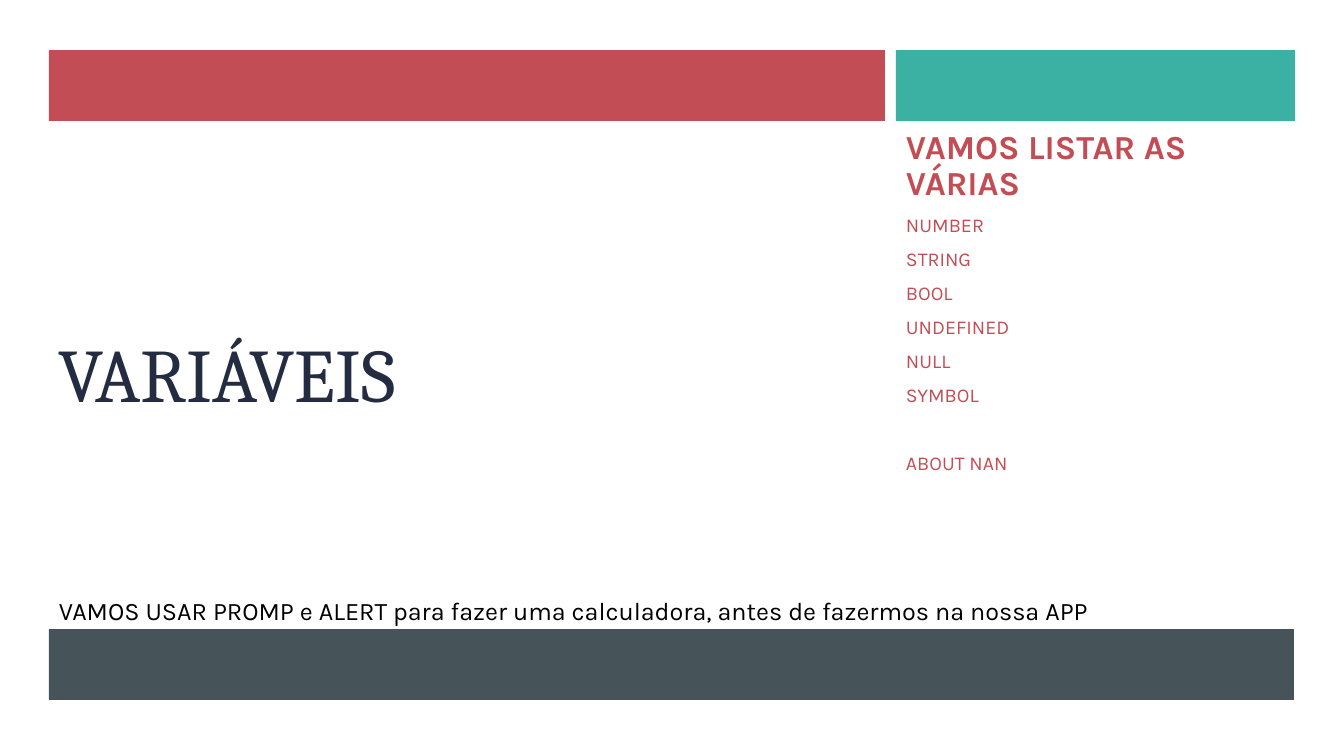
import pptx
import pptx.dml.color
import pptx.enum.shapes
import pptx.enum.text
import pptx.util

PX = 914400 / 100.8  # EMU per px

THEME = {
    "white": "FFFFFF", "red": "C34D54", "teal": "3BB1A3",
    "slate": "465359", "navy": "242C41", "black": "000000",
    "title_font": "Cambria", "body_font": "Karla",
    "title_size": 54, "heading_size": 24, "caption_size": 18, "list_size": 14,
}


def px(value):
    return pptx.util.Emu(round(value * PX))


def add_text(frame, text, first=True, font="body_font", size="list_size", color="red",
             bold=False, line=1.0, before=0, after=0):
    paragraph = frame.paragraphs[0] if first else frame.add_paragraph()
    paragraph.line_spacing = line
    paragraph.space_before = pptx.util.Pt(before)
    paragraph.space_after = pptx.util.Pt(after)
    run = paragraph.add_run()
    run.text = text
    run.font.name = THEME[font]
    run.font.size = pptx.util.Pt(THEME[size])
    run.font.bold = bold
    run.font.color.rgb = pptx.dml.color.RGBColor.from_string(THEME[color])


presentation = pptx.Presentation()
presentation.slide_width = px(1344)
presentation.slide_height = px(756)
slide = presentation.slides.add_slide(presentation.slide_layouts[6])

# Background and colour bars
bars = [
    ("white", 0, 0, 1344, 756),
    ("red", 49, 50, 836, 71),
    ("teal", 896, 50, 399, 71),
    ("slate", 49, 629, 1245, 71),
]
for color, left, top, width, height in bars:
    bar = slide.shapes.add_shape(pptx.enum.shapes.MSO_SHAPE.RECTANGLE,
                                 px(left), px(top), px(width), px(height))
    bar.shadow.inherit = False
    bar.fill.solid()
    bar.fill.fore_color.rgb = pptx.dml.color.RGBColor.from_string(THEME[color])
    bar.line.fill.background()

# Text boxes
anchors = pptx.enum.text.MSO_ANCHOR
boxes = {
    "title": (49, 171, 475, 403, anchors.MIDDLE),
    "types": (896, 126, 398, 403, anchors.TOP),
    "caption": (49, 590, 1344, 40, anchors.TOP),
}
frames = {}
for name, (left, top, width, height, anchor) in boxes.items():
    frame = slide.shapes.add_textbox(px(left), px(top), px(width), px(height)).text_frame
    frame.word_wrap = True
    frame.vertical_anchor = anchor
    frames[name] = frame

# Title and caption
add_text(frames["title"], "VARIÁVEIS", font="title_font", size="title_size", color="navy")
add_text(frames["caption"],
         "VAMOS USAR PROMP e ALERT para fazer uma calculadora, antes de fazermos na nossa APP",
         size="caption_size", color="black")

# List of types, with a one-line gap above the last entry
frames["types"].margin_top = px(4)
add_text(frames["types"], "VAMOS LISTAR AS VÁRIAS", size="heading_size", bold=True,
         line=0.9, after=6)
for entry in ["NUMBER", "STRING", "BOOL", "UNDEFINED", "NULL", "SYMBOL", "ABOUT NAN"]:
    gap = 27 if entry == "ABOUT NAN" else 3.2
    add_text(frames["types"], entry, first=False, line=0.9, before=gap, after=6)

presentation.save("out.pptx")
